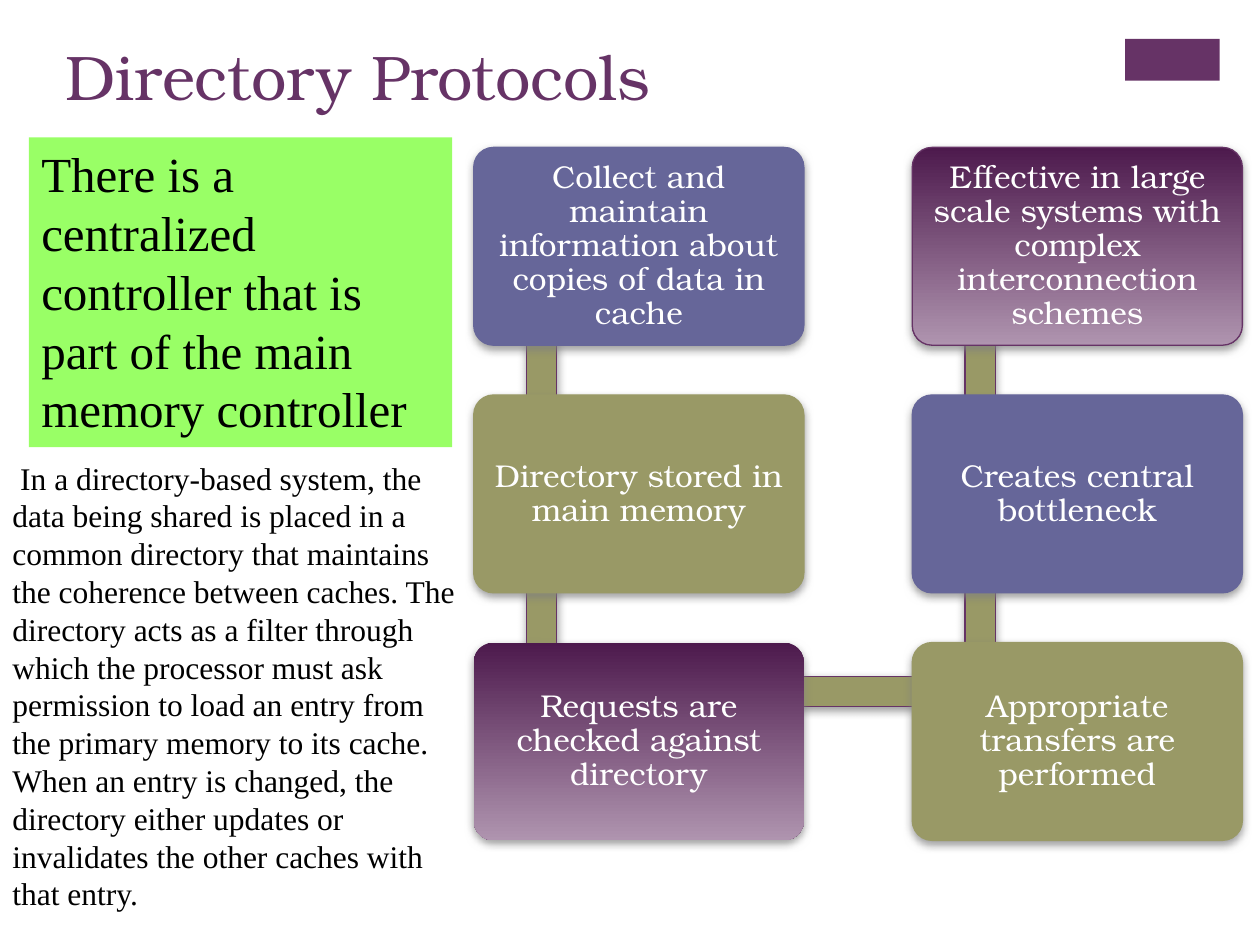
from lxml import etree
from pptx import Presentation
from pptx.dml.color import RGBColor
from pptx.enum.shapes import MSO_SHAPE
from pptx.enum.text import MSO_ANCHOR, PP_ALIGN
from pptx.oxml.ns import qn
from pptx.util import Inches, Pt

RECT, ROUND = MSO_SHAPE.RECTANGLE, MSO_SHAPE.ROUNDED_RECTANGLE
TOP, MIDDLE = MSO_ANCHOR.TOP, MSO_ANCHOR.MIDDLE
LEFT, CENTER = PP_ALIGN.LEFT, PP_ALIGN.CENTER
SERIF, TIMES = "TeX Gyre Bonum", "Times New Roman"
PLUM, BLUE, OLIVE, LIME = "663366", "666699", "999966", "99FF66"
FADE = ("4D1A4D", "AF94AF")


def color(code):
    return RGBColor.from_string(code)


def write(shape, text, font=SERIF, size=18, ink="000000", align=LEFT,
          anchor=TOP, space=1.0, inset=(0.1, 0.05)):
    frame = shape.text_frame
    frame.word_wrap = True
    frame.vertical_anchor = anchor
    frame.margin_left = frame.margin_right = Inches(inset[0])
    frame.margin_top = frame.margin_bottom = Inches(inset[1])
    para = frame.paragraphs[0]
    para.alignment = align
    para.line_spacing = space
    run = para.add_run()
    run.text = text
    run.font.name = font
    run.font.size = Pt(size)
    run.font.color.rgb = color(ink)


def shade(shape):
    effects = shape._element.spPr.find(qn("a:effectLst"))
    outer = etree.SubElement(effects, qn("a:outerShdw"), blurRad=str(Pt(5)),
                             dist=str(Pt(2)), dir="5400000", rotWithShape="0")
    tint = etree.SubElement(outer, qn("a:srgbClr"), val="808080")
    etree.SubElement(tint, qn("a:alpha"), val="75000")


def block(slide, kind, box, fill, line=None, shadow=False):
    shape = slide.shapes.add_shape(kind, *map(Inches, box))
    shape.shadow.inherit = False
    if isinstance(fill, tuple):
        shape.fill.gradient()
        shape.fill.gradient_angle = 270
        for stop, code in zip(shape.fill.gradient_stops, fill):
            stop.color.rgb = color(code)
    else:
        shape.fill.solid()
        shape.fill.fore_color.rgb = color(fill)
    if line:
        shape.line.color.rgb = color(line)
        shape.line.width = Pt(0.75)
    else:
        shape.line.fill.background()
    if shadow:
        shade(shape)
    return shape


def header(slide, box):
    left, top, width, height = box
    block(slide, RECT, (left + 8.51, top + 0.06, 0.75, 0.33), PLUM)
    title = slide.shapes.title
    title.left, title.top = Inches(left), Inches(top)
    title.width, title.height = Inches(width), Inches(height)
    write(title, "Directory Protocols", size=36, ink=PLUM)


def notes(slide, box):
    left, top, width, height = box
    panel = block(slide, RECT, (left + 0.23, top, 3.36, 2.46), LIME)
    write(panel, "There is a centralized controller that is part of the main "
          "memory controller", font=TIMES, size=28)
    area = (left, top + 2.5, width, height - 2.5)
    body = slide.shapes.add_textbox(*map(Inches, area))
    write(body, " In a directory-based system, the data being shared is placed "
          "in a common directory that maintains the coherence between caches. "
          "The directory acts as a filter through which the processor must ask "
          "permission to load an entry from the primary memory to its cache. "
          "When an entry is changed, the directory either updates or "
          "invalidates the other caches with that entry.", font=TIMES)


def flow(slide, box, cards):
    left, top, width, height = box
    wide, high, thick = 2.62, 1.57, 0.24
    across, down = width - wide, (height - high) / 2
    for col in range(2):
        for row in range(2):
            bar = (left + col * across + 0.42, top + row * down + 0.4,
                   thick, down - 0.02)
            block(slide, RECT, bar, OLIVE, PLUM, True)
    bar = (left + 0.54, top + 2 * down + 0.27, across, thick)
    block(slide, RECT, bar, OLIVE, PLUM, True)
    for col, row, text, fill, line in cards:
        spot = (left + col * across, top + row * down, wide, high)
        card = block(slide, ROUND, spot, fill, line, True)
        card.adjustments[0] = 0.1
        write(card, text, ink="FFFFFF", align=CENTER, anchor=MIDDLE,
              space=0.9, inset=(0.07, 0.07))


CARDS = [
    (0, 0, "Collect and maintain information about copies of data in cache",
     BLUE, BLUE),
    (0, 1, "Directory stored in main memory", OLIVE, OLIVE),
    (0, 2, "Requests are checked against directory", FADE, None),
    (1, 2, "Appropriate transfers are performed", OLIVE, OLIVE),
    (1, 1, "Creates central bottleneck", BLUE, BLUE),
    (1, 0, "Effective in large scale systems with complex interconnection "
     "schemes", FADE, PLUM),
]

deck = Presentation()
deck.slide_width, deck.slide_height = Inches(10), Inches(7.5)
page = deck.slides.add_slide(deck.slide_layouts[5])
header(page, (0.42, 0.25, 8.26, 1.22))
flow(page, (3.76, 1.17, 6.1, 5.5), CARDS)
notes(page, (0, 1.09, 3.75, 6.24))
deck.save("out.pptx")
